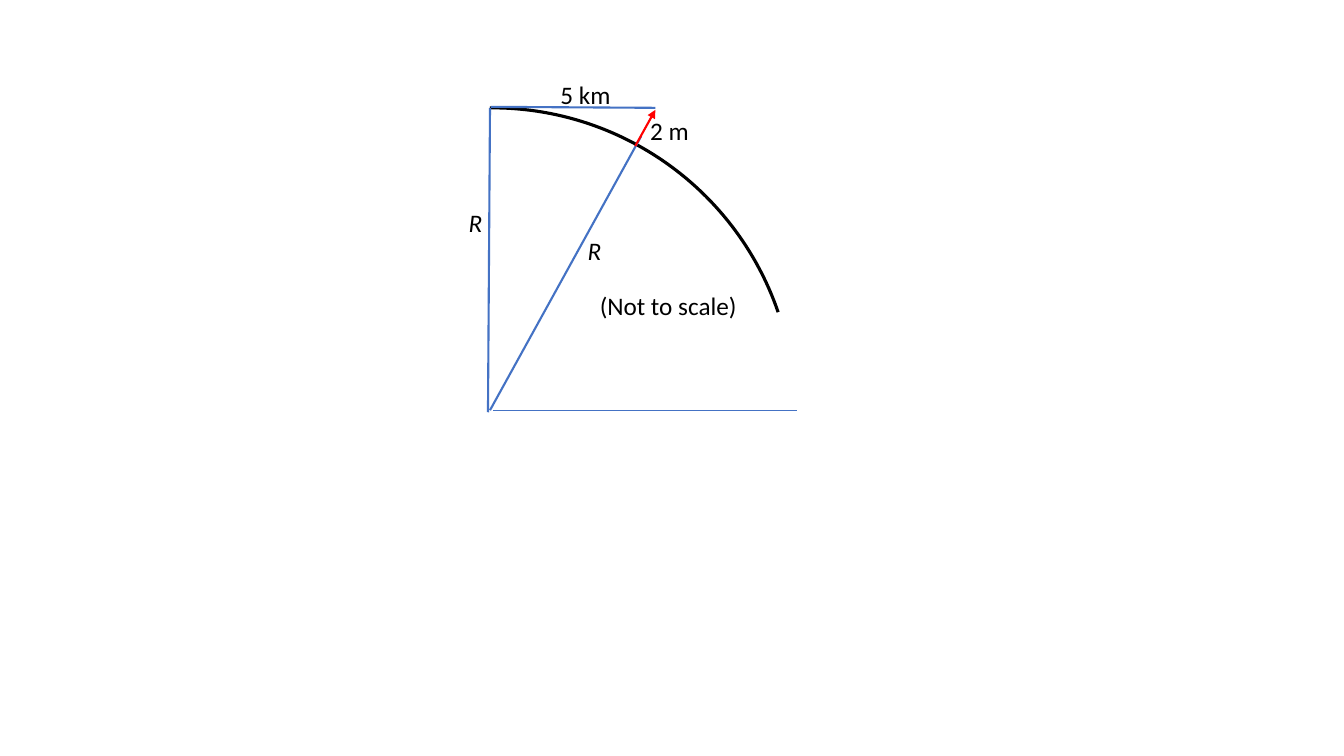
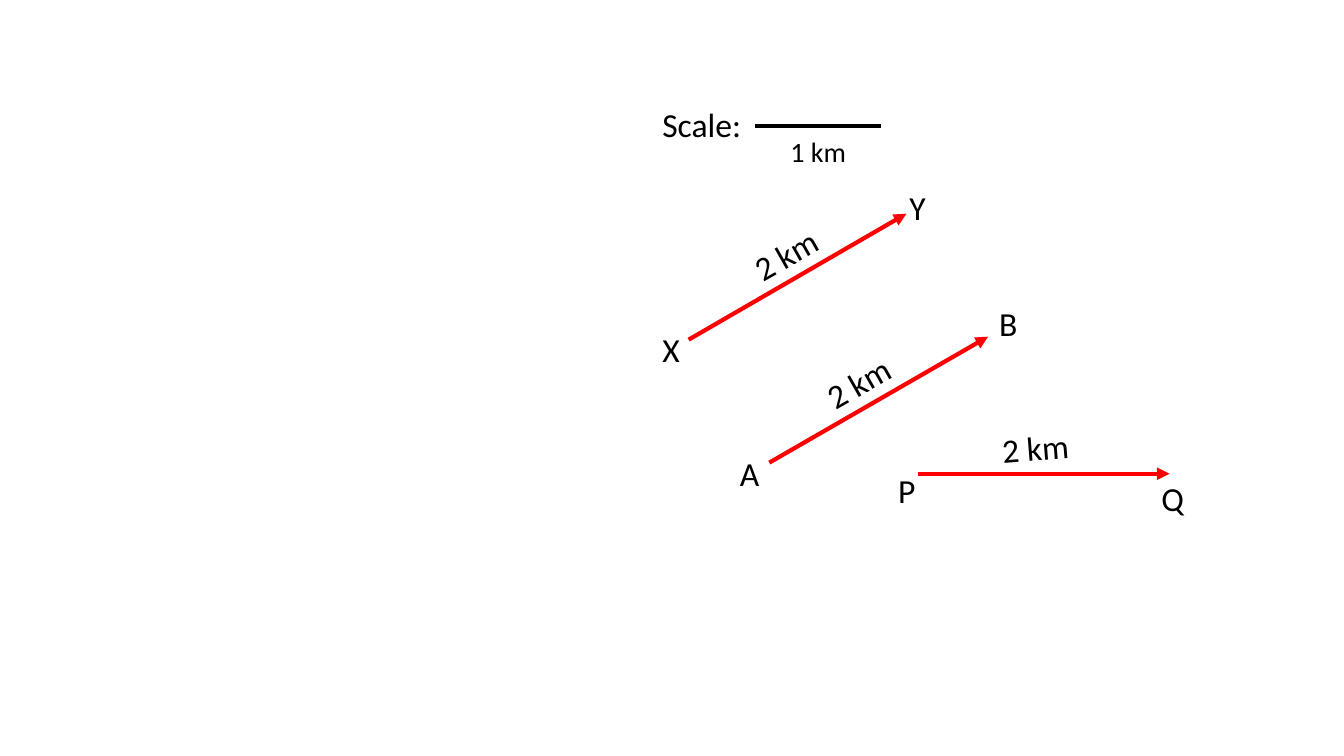
"""Build two slides: horizon geometry of a sphere and a comparison of displacement vectors."""
from dataclasses import dataclass

from lxml import etree
from pptx import Presentation
from pptx import util as u
from pptx.dml import color
from pptx.enum import shapes, text
from pptx.oxml import ns
from pptx.shapes import shapetree as tree

Point = tuple[float, float]


@dataclass(frozen=True)
class Theme:
    font: str = "Calibri"
    ink: str = "000000"
    guide: str = "4472C4"
    vector: str = "FF0000"
    note_size: int = 18
    scale_size: int = 20
    label_size: int = 24
    hairline: float = 0.5
    thin: float = 1.5
    medium: float = 2.25
    thick: float = 3


THEME = Theme()


@dataclass(frozen=True)
class Line:
    start: Point
    end: Point
    colour: str = THEME.guide
    weight: float = THEME.thin
    arrow: bool = False


@dataclass(frozen=True)
class Label:
    words: str
    left: float
    top: float
    width: float
    height: float = 0.5
    size: int = THEME.label_size
    italic: bool = False
    rotation: float = 0


def note(words: str, left: float, top: float, width: float, italic: bool = False) -> Label:
    return Label(words, left, top, width, height=0.4, size=THEME.note_size, italic=italic)


def vector(start: Point, end: Point) -> Line:
    return Line(start, end, THEME.vector, THEME.thick, arrow=True)


def distance(left: float, top: float, rotation: float) -> Label:
    return Label("2 km", left, top, 0.87, rotation=rotation)


CENTRE: Point = (4.88, 4.07)
RADIUS = 3
ARC_DEGREES = (269.58, 341.08)
SLOPE = 330.4

HORIZON_LINES = [
    Line((4.86, 1.07), (4.84, 4.09)),
    Line((4.89, 4.07), (7.9, 4.07), weight=THEME.hairline),
    Line((4.86, 4.07), (6.36, 1.35)),
    Line((4.87, 1.06), (6.5, 1.07)),
    Line((6.3, 1.45), (6.5, 1.09), THEME.vector, arrow=True),
]
HORIZON_LABELS = [
    note("2 m", 6.35, 1.09, 0.59),
    note("5 km", 5.46, 0.74, 0.7),
    note("(Not to scale)", 5.85, 2.83, 1.58),
    note("R", 5.73, 2.29, 0.34, italic=True),
    note("R", 4.55, 2.01, 0.34, italic=True),
]
VECTOR_LINES = [
    Line((7.49, 1.25), (8.74, 1.25), THEME.ink, THEME.medium),
    vector((6.83, 3.37), (8.99, 2.12)),
    vector((7.63, 4.59), (9.8, 3.34)),
    vector((9.1, 4.7), (11.6, 4.7)),
]
VECTOR_LABELS = [
    Label("Scale:", 6.47, 0.98, 0.99),
    Label("1 km", 7.74, 1.29, 0.76, height=0.44, size=THEME.scale_size),
    Label("X", 6.47, 3.21, 0.38),
    Label("Y", 8.92, 1.81, 0.37),
    distance(7.36, 2.27, SLOPE),
    Label("A", 7.24, 4.44, 0.4),
    Label("B", 9.81, 2.96, 0.38),
    distance(8.08, 3.54, SLOPE),
    Label("P", 8.81, 4.61, 0.38),
    Label("Q", 11.42, 4.69, 0.43),
    distance(9.84, 4.19, 355.4),
]


def write(box, words: str, *, size: int, italic: bool = False, colour: str = THEME.ink) -> None:
    frame = box.text_frame
    frame.word_wrap = False
    frame.auto_size = text.MSO_AUTO_SIZE.SHAPE_TO_FIT_TEXT
    span = frame.paragraphs[0].add_run()
    span.text = words
    span.font.name = THEME.font
    span.font.size = u.Pt(size)
    span.font.italic = italic
    span.font.color.rgb = color.RGBColor.from_string(colour)


def draw_label(canvas: tree.GroupShapes | tree.SlideShapes, label: Label) -> None:
    box = canvas.add_textbox(*map(u.Inches, (label.left, label.top, label.width, label.height)))
    box.rotation = label.rotation
    write(box, label.words, size=label.size, italic=label.italic)


def stroke(shape, colour: str, weight: float) -> None:
    shape.line.color.rgb = color.RGBColor.from_string(colour)
    shape.line.width = u.Pt(weight)


def draw_line(canvas: tree.GroupShapes | tree.SlideShapes, line: Line) -> None:
    connector = canvas.add_connector(
        shapes.MSO_CONNECTOR.STRAIGHT, *map(u.Inches, (*line.start, *line.end))
    )
    stroke(connector, line.colour, line.weight)
    properties = connector.element.spPr
    if line.arrow:
        outline = properties.find(ns.qn("a:ln"))
        etree.SubElement(outline, ns.qn("a:tailEnd"), type="triangle")
    etree.SubElement(properties, ns.qn("a:effectLst"))


def draw_arc(canvas: tree.SlideShapes) -> None:
    left, top = (middle - RADIUS for middle in CENTRE)
    arc = canvas.add_shape(
        shapes.MSO_SHAPE.ARC, *map(u.Inches, (left, top, 2 * RADIUS, 2 * RADIUS))
    )
    arc.shadow.inherit = False
    arc.fill.background()
    stroke(arc, THEME.ink, THEME.medium)
    for index, degrees in enumerate(ARC_DEGREES):
        arc.adjustments[index] = degrees * 0.6


def draw_diagram(
    canvas: tree.GroupShapes | tree.SlideShapes, lines: list[Line], labels: list[Label]
) -> None:
    for line in lines:
        draw_line(canvas, line)
    for label in labels:
        draw_label(canvas, label)


def main() -> None:
    deck = Presentation()
    deck.slide_width, deck.slide_height = u.Inches(13.33), u.Inches(7.5)
    blank = deck.slide_layouts[6]

    horizon_page = deck.slides.add_slide(blank)
    draw_arc(horizon_page.shapes)
    draw_diagram(horizon_page.shapes, HORIZON_LINES, HORIZON_LABELS)

    vector_page = deck.slides.add_slide(blank)
    draw_diagram(vector_page.shapes.add_group_shape().shapes, VECTOR_LINES, VECTOR_LABELS)

    deck.save("out.pptx")


if __name__ == "__main__":
    main()
